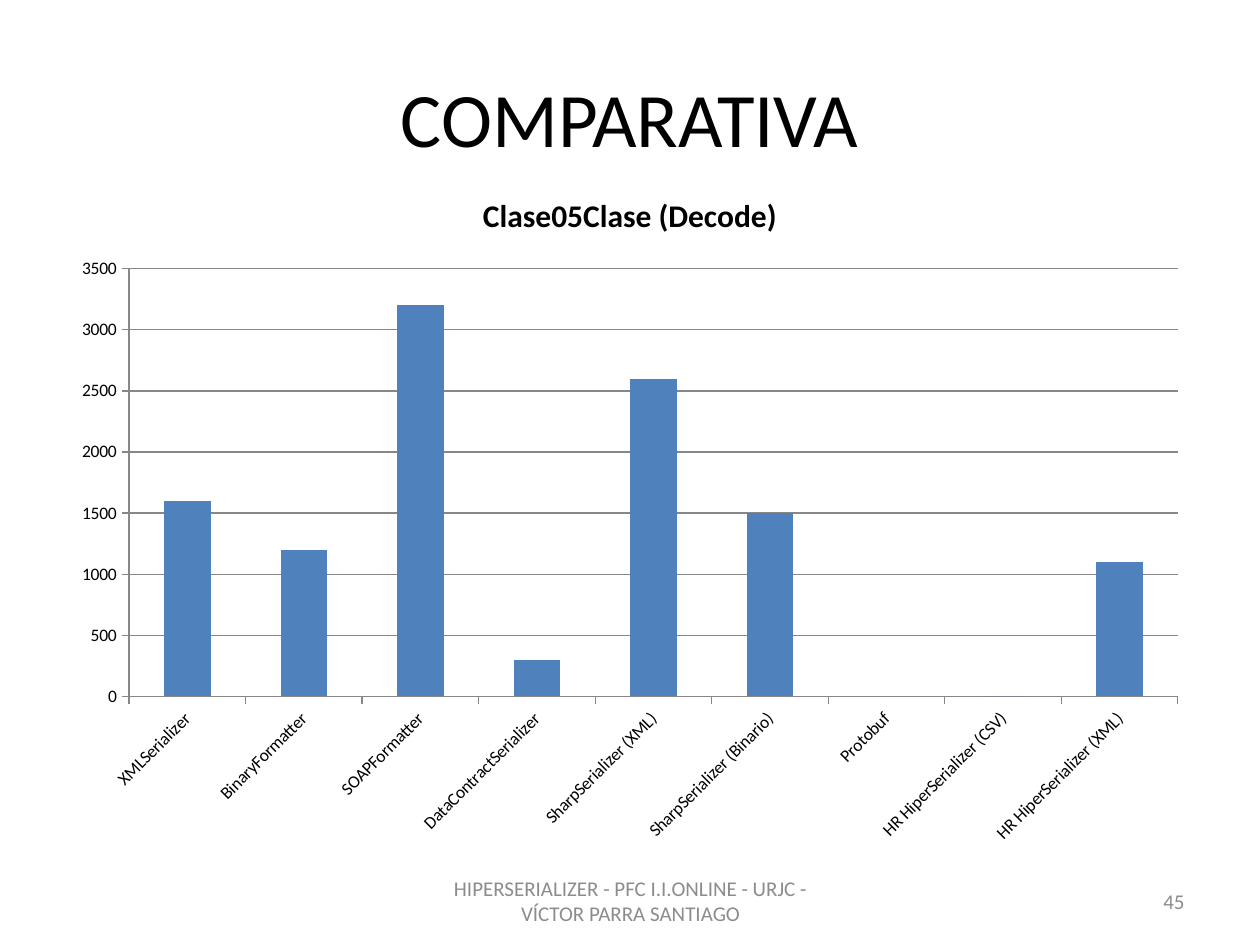
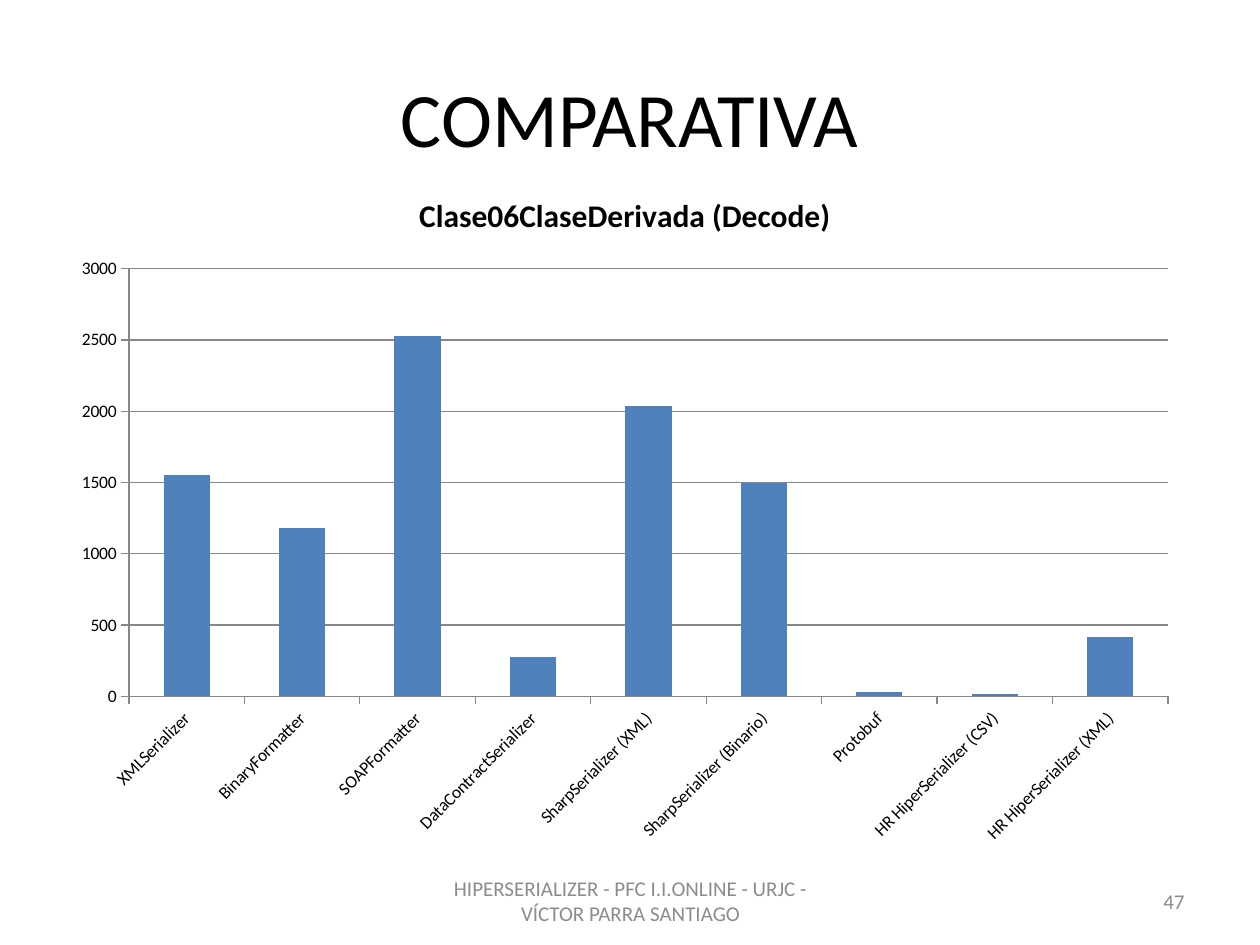
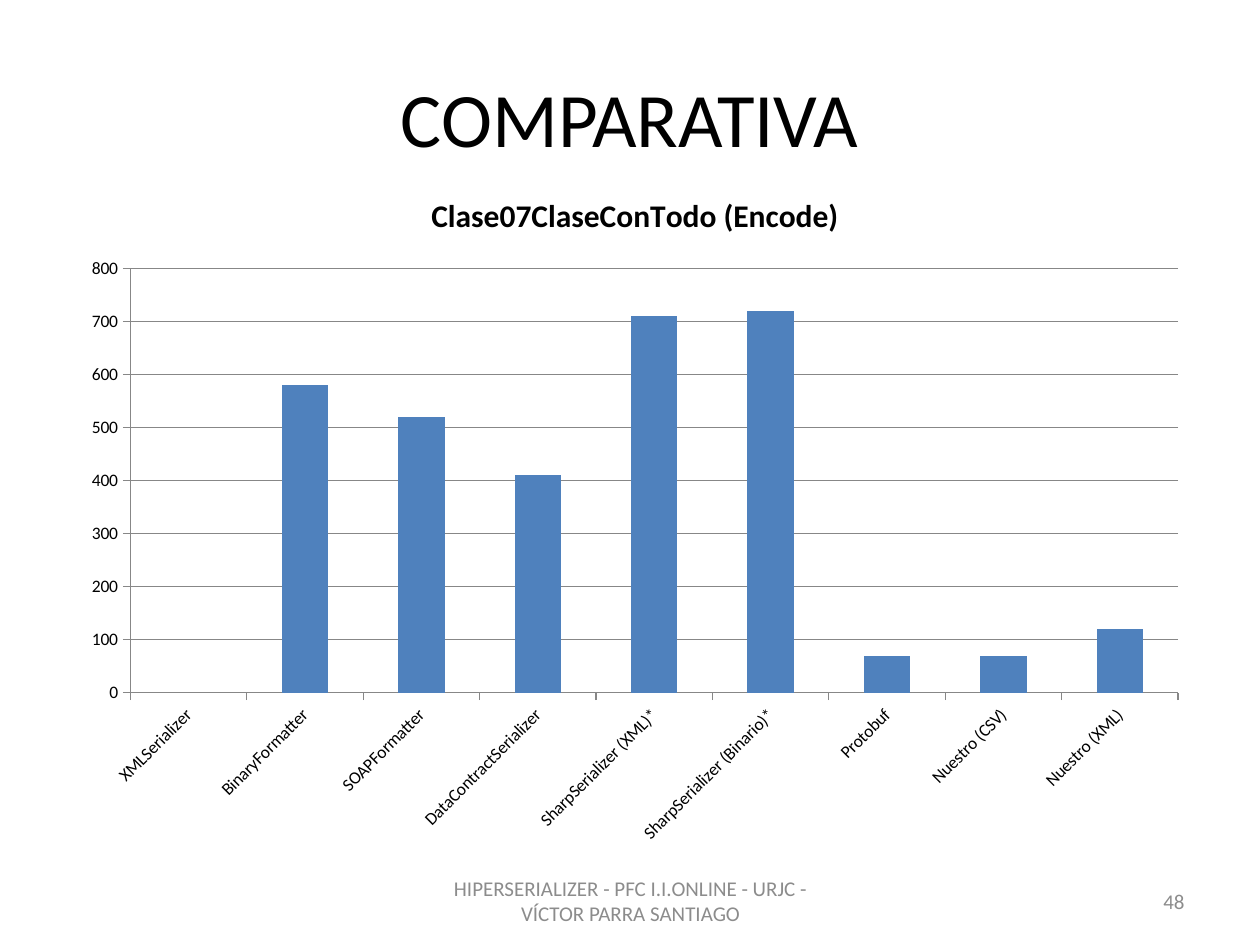
"""Build three comparison slides, each with one column chart of serializer timings."""
from dataclasses import dataclass

from pptx import Presentation
from pptx.chart.data import CategoryChartData
from pptx.dml.color import RGBColor
from pptx.enum.chart import XL_CHART_TYPE, XL_TICK_MARK
from pptx.enum.text import MSO_ANCHOR, PP_ALIGN
from pptx.util import Inches, Pt

COLUMNS = XL_CHART_TYPE.COLUMN_CLUSTERED
OUTSIDE = XL_TICK_MARK.OUTSIDE
MIDDLE = MSO_ANCHOR.MIDDLE
CENTER, RIGHT = PP_ALIGN.CENTER, PP_ALIGN.RIGHT

TITLE = "COMPARATIVA"
FOOTER = "HIPERSERIALIZER - PFC I.I.ONLINE - URJC - VÍCTOR PARRA SANTIAGO"
BASE = ["XMLSerializer", "BinaryFormatter", "SOAPFormatter", "DataContractSerializer"]
DECODERS = BASE + ["SharpSerializer (XML)", "SharpSerializer (Binario)", "Protobuf",
                   "HR HiperSerializer (CSV)", "HR HiperSerializer (XML)"]
ENCODERS = BASE + ["SharpSerializer (XML)*", "SharpSerializer (Binario)*", "Protobuf",
                   "Nuestro (CSV)", "Nuestro (XML)"]
SLIDES = [
    dict(number=45, left=0.47, width=9.06, name="Clase05Clase (Decode)", cats=DECODERS,
         values=[1600, 1200, 3200, 300, 2600, 1500, None, 0, 1100]),
    dict(number=47, left=0.47, width=8.98, name="Clase06ClaseDerivada (Decode)", cats=DECODERS,
         values=[1550, 1180, 2530, 280, 2040, 1500, 30, 20, 420]),
    dict(number=48, left=0.55, width=8.98, name="Clase07ClaseConTodo (Encode)", cats=ENCODERS,
         values=[None, 580, 520, 410, 710, 720, 70, 70, 120]),
]

TITLE_BOX = (0.5, 0.3, 9, 1.25)
FOOTER_BOX = (3.42, 6.95, 3.17, 0.4)
NUMBER_BOX = (7.17, 6.95, 2.33, 0.4)
CHART_TOP, CHART_HEIGHT = 1.33, 5.47


@dataclass(frozen=True)
class Theme:
    """Colours and type sizes of the deck."""
    font: str = "Calibri"
    text: RGBColor = RGBColor(0, 0, 0)
    muted: RGBColor = RGBColor(0x8C, 0x8C, 0x8C)
    bar: RGBColor = RGBColor(0x4F, 0x81, 0xBD)
    grid: RGBColor = RGBColor(0x87, 0x87, 0x87)
    title_size: int = 44
    chart_title_size: int = 18
    footer_size: int = 12
    label_size: int = 10
    line_width: float = 0.75


THEME = Theme()


def set_font(font, size, color, bold=False):
    """Apply the deck's typeface with a size and colour."""
    font.name, font.size, font.bold = THEME.font, Pt(size), bold
    font.color.rgb = color


def set_line(line):
    """Format a chart rule."""
    line.color.rgb = THEME.grid
    line.width = Pt(THEME.line_width)


def write(sp, text, size, color, align):
    """Fill a shape with one middle-anchored paragraph."""
    tf = sp.text_frame
    tf.text = text
    tf.word_wrap, tf.vertical_anchor = True, MIDDLE
    p = tf.paragraphs[0]
    p.alignment = align
    set_font(p.font, size, color)


def add_frame(s, number):
    """Add the title, footer and slide number."""
    title = s.shapes.title
    title.left, title.top, title.width, title.height = map(Inches, TITLE_BOX)
    write(title, TITLE, THEME.title_size, THEME.text, CENTER)
    for box, text, align in ((FOOTER_BOX, FOOTER, CENTER), (NUMBER_BOX, str(number), RIGHT)):
        sp = s.shapes.add_textbox(*map(Inches, box))
        write(sp, text, THEME.footer_size, THEME.muted, align)


def add_columns(s, left, width, name, cats, values):
    """Add a titled column chart."""
    data = CategoryChartData()
    data.categories = cats
    data.add_series(name, values)
    box = map(Inches, (left, CHART_TOP, width, CHART_HEIGHT))
    chart = s.shapes.add_chart(COLUMNS, *box, data).chart
    set_font(chart.font, THEME.label_size, THEME.text)
    chart.has_legend = False
    chart.has_title = True
    chart.chart_title.include_in_layout = False
    tf = chart.chart_title.text_frame
    tf.text = name
    set_font(tf.paragraphs[0].font, THEME.chart_title_size, THEME.text, bold=True)

    plot = chart.plots[0]
    plot.gap_width, plot.vary_by_categories = 150, False
    fill = plot.series[0].format.fill
    fill.solid()
    fill.fore_color.rgb = THEME.bar

    for axis in (chart.category_axis, chart.value_axis):
        axis.major_tick_mark = OUTSIDE
        set_line(axis.format.line)
    chart.value_axis.has_major_gridlines = True
    set_line(chart.value_axis.major_gridlines.format.line)


def main():
    """Build and save the deck."""
    prs = Presentation()
    prs.slide_width, prs.slide_height = Inches(10), Inches(7.5)
    title_only = prs.slide_layouts.get_by_name("Title Only")
    for content in SLIDES:
        s = prs.slides.add_slide(title_only)
        add_frame(s, content["number"])
        add_columns(s, **{k: v for k, v in content.items() if k != "number"})
    prs.save("out.pptx")


if __name__ == "__main__":
    main()
